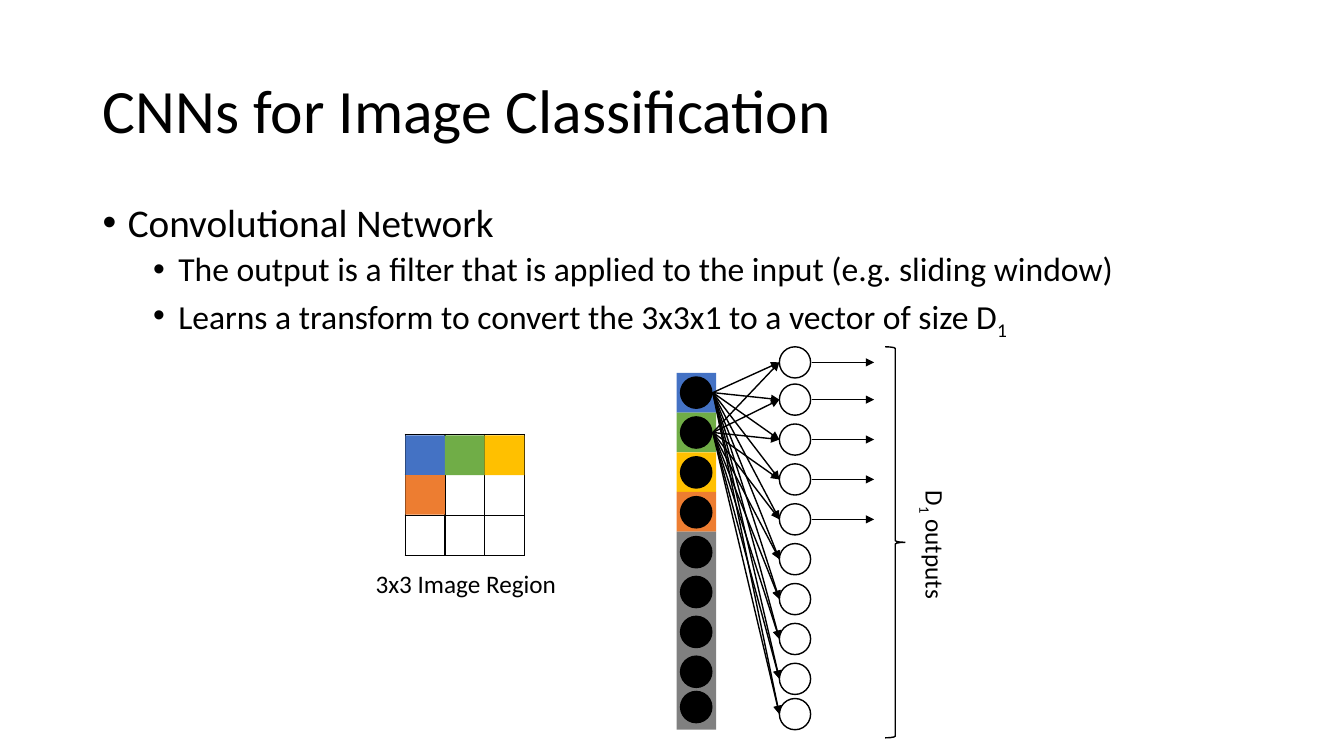
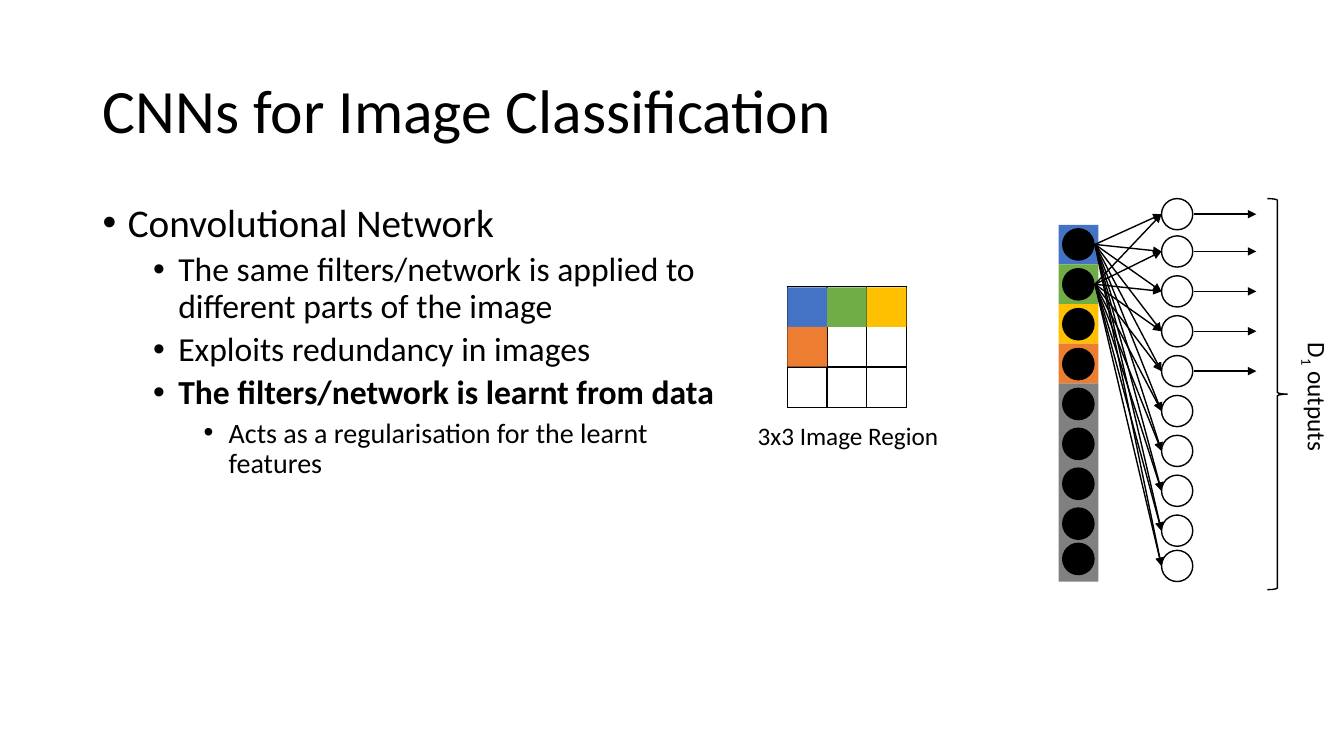
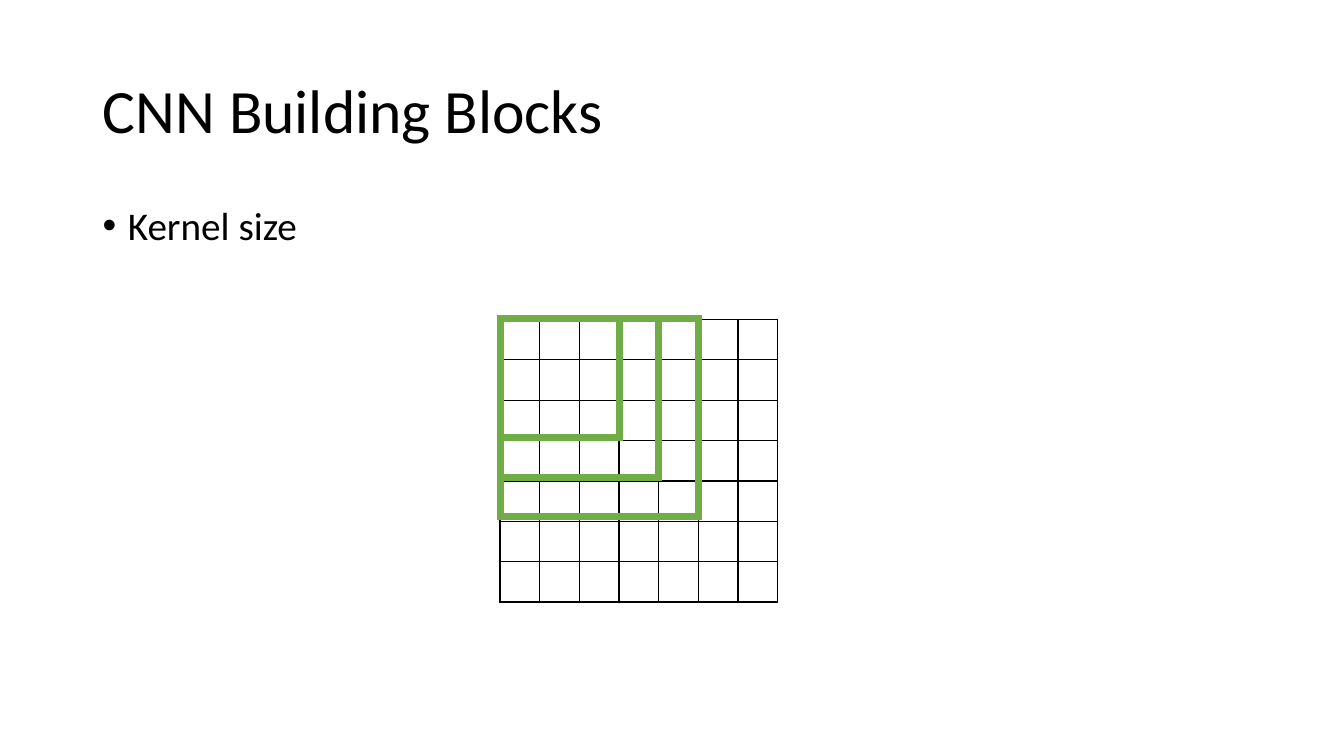
"""Build three slides on convolutional networks and kernel sizes."""
from dataclasses import dataclass
from typing import NamedTuple, Optional

from lxml import etree
from pptx import Presentation
from pptx import dml, shapes as shp, slide as sl, util as u
from pptx.dml.color import RGBColor
from pptx.enum import shapes, text
from pptx.oxml.ns import qn
from pptx.shapes import autoshape

BLACK = RGBColor(0x00, 0x00, 0x00)
WHITE = RGBColor(0xFF, 0xFF, 0xFF)
BLUE = RGBColor(0x44, 0x72, 0xC4)
GREEN = RGBColor(0x70, 0xAD, 0x47)
GOLD = RGBColor(0xFF, 0xC0, 0x00)
ORANGE = RGBColor(0xED, 0x7D, 0x31)
GREY = RGBColor(0x80, 0x80, 0x80)

FONT = "Calibri"
LEFT = 0.92
SQUARE = 1.18 / 3
DOT = 0.31
PIXELS = (BLUE, GREEN, GOLD, ORANGE)
INPUT_TOPS = [0.3 + 2.77 * i / 7 for i in range(8)] + [3.42]
OUTPUT_TOPS = [0.0] + [top + 0.07 for top in INPUT_TOPS]
LEVEL_SIZES = (28, 24, 20)


class Run(NamedTuple):
    text: str
    bold: bool = False
    sub: bool = False


class Box(NamedTuple):
    x: float
    y: float
    w: float
    h: float

    def emu(self) -> list[int]:
        return [u.Inches(v) for v in self]


@dataclass
class Bullet:
    level: int
    runs: list[Run]


def add_runs(p, runs: list[Run], size: int) -> None:
    for run in runs:
        r = p.add_run()
        r.text = run.text
        r.font.name, r.font.size, r.font.bold = FONT, u.Pt(size), run.bold
        r.font.color.rgb = BLACK
        if run.sub:
            r.font._element.set("baseline", "-25000")


def add_text(s: sl.Slide, box: Box):
    tf = s.shapes.add_textbox(*box.emu()).text_frame
    tf.word_wrap = True
    return tf


def add_title(prs, title: str, width: float = 11.5) -> sl.Slide:
    s = prs.slides.add_slide(prs.slide_layouts[5])
    s.background.fill.solid()
    s.background.fill.fore_color.rgb = WHITE
    sp = s.shapes.title
    sp.left, sp.top, sp.width, sp.height = Box(LEFT, 0.4, width, 1.45).emu()
    tf = sp.text_frame
    tf.word_wrap, tf.auto_size = True, text.MSO_AUTO_SIZE.NONE
    tf.vertical_anchor = text.MSO_ANCHOR.MIDDLE
    p = tf.paragraphs[0]
    p.alignment, p.line_spacing = text.PP_ALIGN.LEFT, 0.9
    add_runs(p, [Run(title)], 44)
    return s


def add_bullets(s: sl.Slide, box: Box, bullets: list[Bullet]) -> None:
    tf = add_text(s, box)
    for i, bullet in enumerate(bullets):
        p = tf.add_paragraph() if i else tf.paragraphs[0]
        p.level, p.line_spacing = bullet.level, 0.9
        p.space_before = u.Pt(5 if i else 0)
        pPr = p._p.get_or_add_pPr()
        pPr.set("marL", str(u.Inches(0.25 + 0.5 * bullet.level)))
        pPr.set("indent", str(u.Inches(-0.25)))
        etree.SubElement(pPr, qn("a:buFont"), typeface="Arial")
        etree.SubElement(pPr, qn("a:buChar"), char="•")
        add_runs(p, bullet.runs, LEVEL_SIZES[bullet.level])


def add_shape(s: sl.Slide, kind: shapes.MSO_SHAPE, box: Box,
              fill: Optional[RGBColor] = None, line: Optional[RGBColor] = None,
              weight: float = 1) -> autoshape.Shape:
    sp = s.shapes.add_shape(kind, *box.emu())
    sp.shadow.inherit = False
    if fill is None:
        sp.fill.background()
    else:
        sp.fill.solid()
        sp.fill.fore_color.rgb = fill
    if line is None:
        sp.line.fill.background()
    else:
        sp.line.color.rgb, sp.line.width = line, u.Pt(weight)
        etree.SubElement(sp._element.spPr.find(qn("a:ln")), qn("a:miter"), lim="800000")
    return sp


def add_arrow(s: sl.Slide, x1: float, y1: float, x2: float, y2: float) -> None:
    ends = [u.Inches(v) for v in (x1, y1, x2, y2)]
    c = s.shapes.add_connector(shapes.MSO_CONNECTOR.STRAIGHT, *ends)
    c.line.color.rgb, c.line.width = BLACK, u.Pt(1)
    spPr = c._element.spPr
    etree.SubElement(spPr.find(qn("a:ln")), qn("a:tailEnd"), type="triangle")
    etree.SubElement(spPr, qn("a:effectLst"))


def add_grid(s: sl.Slide, x: float, y: float, count: int) -> None:
    box = Box(x, y, count * SQUARE, count * SQUARE)
    table = s.shapes.add_table(count, count, *box.emu()).table
    table.first_row = table.horz_banding = False
    for cell in table.iter_cells():
        tcPr = cell._tc.get_or_add_tcPr()
        for side in ("lnL", "lnR", "lnT", "lnB"):
            ln = etree.SubElement(tcPr, qn(f"a:{side}"), w=str(u.Pt(1)))
            solid = etree.SubElement(ln, qn("a:solidFill"))
            etree.SubElement(solid, qn("a:srgbClr"), val=str(BLACK))
        cell.fill.background()


def add_network(s: sl.Slide, x: float, y: float) -> None:
    rect, oval = shapes.MSO_SHAPE.RECTANGLE, shapes.MSO_SHAPE.OVAL
    add_grid(s, x, y + 0.87, 3)
    p = add_text(s, Box(x - 0.56, y + 2.15, 2.32, 0.4)).paragraphs[0]
    p.alignment = text.PP_ALIGN.CENTER
    add_runs(p, [Run("3x3 Image Region")], 18)

    column_x, column_y = x + 2.69, y + 0.26
    for i, color in enumerate(PIXELS):
        row, col = divmod(i, 3)
        for left, top in ((column_x, column_y + i * SQUARE),
                          (x + col * SQUARE, y + 0.88 + row * SQUARE)):
            add_shape(s, rect, Box(left, top, SQUARE, SQUARE), color)
    add_shape(s, rect, Box(column_x, column_y + 4 * SQUARE, SQUARE, 5 * SQUARE), GREY)

    for top in INPUT_TOPS:
        add_shape(s, oval, Box(x + 2.73, y + top, DOT, DOT), BLACK, BLACK)
    for top in OUTPUT_TOPS:
        add_shape(s, oval, Box(x + 3.71, y + top, DOT, DOT), line=BLACK)
    middle = y + DOT / 2
    for start in INPUT_TOPS[:2]:
        for end in OUTPUT_TOPS:
            add_arrow(s, x + 3.05, middle + start, x + 3.71, middle + end)
    for top in OUTPUT_TOPS[:5]:
        add_arrow(s, x + 4.03, middle + top, x + 4.65, middle + top)

    add_shape(s, shapes.MSO_SHAPE.RIGHT_BRACE, Box(x + 4.76, y, 0.2, 3.88), line=BLACK)
    tf = add_text(s, Box(x + 4.96, y + 1.33, 0.5, 1.66))
    tf._txBody.bodyPr.set("vert", "vert")
    add_runs(tf.paragraphs[0], [Run("D"), Run("1", sub=True), Run(" outputs")], 18)


def main() -> None:
    prs = Presentation()
    prs.slide_width, prs.slide_height = u.Inches(13.33), u.Inches(7.5)

    s = add_title(prs, "CNNs for Image Classification")
    add_bullets(s, Box(LEFT, 1.97, 11.5, 4.76), [
        Bullet(0, [Run("Convolutional Network")]),
        Bullet(1, [Run("The output is a filter that is applied to the input (e.g. sliding window)")]),
        Bullet(1, [Run("Learns a transform to convert the 3x3x1 to a vector of size D"),
                   Run("1", sub=True)]),
    ])
    add_network(s, 4.02, 3.44)

    s = add_title(prs, "CNNs for Image Classification")
    add_bullets(s, Box(LEFT, 1.97, 6.49, 5.36), [
        Bullet(0, [Run("Convolutional Network")]),
        Bullet(1, [Run("The same filters/network is applied to different parts of the image")]),
        Bullet(1, [Run("Exploits redundancy in images")]),
        Bullet(1, [Run("The filters/network is learnt from data", bold=True)]),
        Bullet(2, [Run("Acts as a regularisation for the learnt features")]),
    ])
    add_network(s, 7.81, 1.97)

    s = add_title(prs, "CNN Building Blocks", 8.51)
    add_bullets(s, Box(LEFT, 2, 9.62, 4.76), [Bullet(0, [Run("Kernel size")])])
    add_grid(s, 4.96, 3.17, 7)
    for kernel in (3, 4, 5):
        frame = Box(4.96, 3.16, kernel * SQUARE, kernel * SQUARE)
        add_shape(s, shapes.MSO_SHAPE.RECTANGLE, frame, line=GREEN, weight=5)

    prs.save("out.pptx")


if __name__ == "__main__":
    main()
